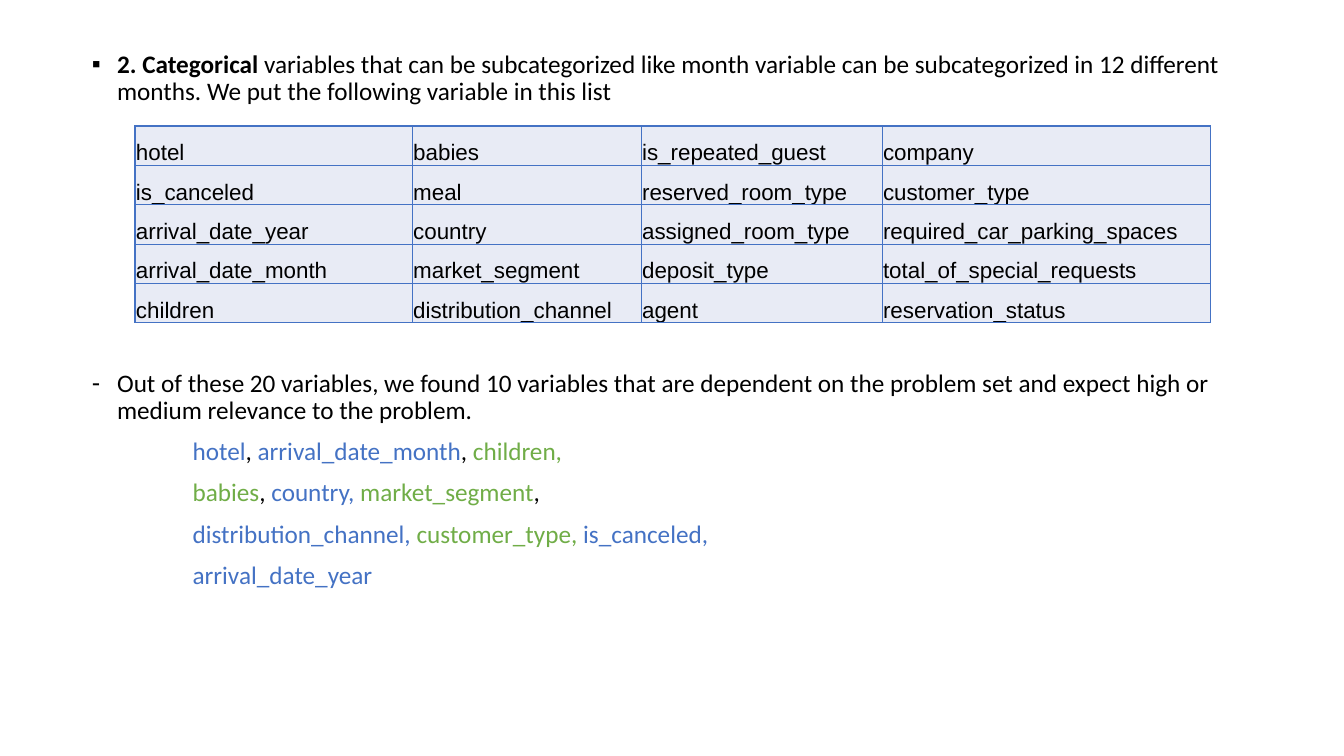
from dataclasses import dataclass

from lxml.etree import SubElement
from pptx import Presentation
from pptx.dml.color import RGBColor
from pptx.enum.text import MSO_ANCHOR, MSO_AUTO_SIZE
from pptx.oxml.ns import qn
from pptx.slide import Slide
from pptx.util import Emu, Inches, Pt

COLORS = {
    "text": "000000",
    "blue": "4472C4",
    "green": "70AD47",
    "cell": "E8EBF5",
}

presentation = Presentation()
presentation.slide_width = Inches(13.33)
presentation.slide_height = Inches(7.5)


def across(percent: float) -> Emu:
    return Emu(round(presentation.slide_width * percent / 100))


def down(percent: float) -> Emu:
    return Emu(round(presentation.slide_height * percent / 100))


@dataclass(frozen=True)
class Phrase:
    text: str
    color: str = "text"
    bold: bool = False


@dataclass(frozen=True)
class Statement:
    phrases: tuple[Phrase, ...]
    margin: Emu
    bullet: str = ""
    space_before: float = 10


BULLET_MARGIN = across(1.88)
LIST_MARGIN = across(7.5)
TABLE_GAP = 189  # points left free for the table between the two statements

STATEMENTS = (
    Statement((
        Phrase("2. Categorical", bold=True),
        Phrase(" variables that can be subcategorized like month variable can be "
               "subcategorized in 12 different months. We put the following "
               "variable in this list"),
    ), BULLET_MARGIN, "▪", 0),
    Statement((
        Phrase("Out of these 20 variables, we found 10 variables that are dependent "
               "on the problem set and expect high or medium relevance to the problem."),
    ), BULLET_MARGIN, "-", TABLE_GAP),
    Statement((
        Phrase("hotel", "blue"), Phrase(", "),
        Phrase("arrival_date_month", "blue"), Phrase(", "),
        Phrase("children,", "green"),
    ), LIST_MARGIN),
    Statement((
        Phrase("babies", "green"), Phrase(", "),
        Phrase("country,", "blue"),
        Phrase(" market_segment", "green"), Phrase(","),
    ), LIST_MARGIN),
    Statement((
        Phrase("distribution_channel, ", "blue"),
        Phrase("customer_type, ", "green"),
        Phrase("is_canceled,", "blue"),
    ), LIST_MARGIN),
    Statement((Phrase("arrival_date_year", "blue"),), LIST_MARGIN),
)

VARIABLES = (
    ("hotel", "babies", "is_repeated_guest", "company"),
    ("is_canceled", "meal", "reserved_room_type", "customer_type"),
    ("arrival_date_year", "country", "assigned_room_type", "required_car_parking_spaces"),
    ("arrival_date_month", "market_segment", "deposit_type", "total_of_special_requests"),
    ("children", "distribution_channel", "agent", "reservation_status"),
)
COLUMN_SHARES = (20.63, 17.03, 17.93, 24.46)
ROW_SHARE = 5.21


def add_phrase(paragraph, phrase: Phrase, font: str, size: float) -> None:
    run = paragraph.add_run()
    run.text = phrase.text
    run.font.name = font
    run.font.size = Pt(size)
    run.font.bold = phrase.bold
    run.font.color.rgb = RGBColor.from_string(COLORS[phrase.color])


def set_bullet(paragraph, statement: Statement) -> None:
    properties = paragraph._p.get_or_add_pPr()
    properties.set("marL", str(statement.margin))
    properties.set("indent", str(-statement.margin if statement.bullet else 0))
    if statement.bullet:
        tint = SubElement(properties, qn("a:buClr"))
        SubElement(tint, qn("a:srgbClr"), val=COLORS["text"])
        SubElement(properties, qn("a:buChar"), char=statement.bullet)
    else:
        SubElement(properties, qn("a:buNone"))


def add_statements(slide: Slide) -> None:
    body = slide.placeholders[1]
    body.left, body.top = across(6.08), down(6.13)
    body.width, body.height = across(86.27), down(82.27)
    frame = body.text_frame
    frame.word_wrap = True
    frame.auto_size = MSO_AUTO_SIZE.NONE
    frame.vertical_anchor = MSO_ANCHOR.TOP
    for index, statement in enumerate(STATEMENTS):
        paragraph = frame.add_paragraph() if index else frame.paragraphs[0]
        paragraph.line_spacing = 0.9
        paragraph.space_before = Pt(statement.space_before)
        set_bullet(paragraph, statement)
        for phrase in statement.phrases:
            add_phrase(paragraph, phrase, "Calibri", 18)


def set_borders(cell) -> None:
    properties = cell._tc.get_or_add_tcPr()
    for position, side in enumerate(("lnL", "lnR", "lnT", "lnB")):
        border = properties.makeelement(qn(f"a:{side}"), {"w": str(Pt(1))})
        paint = SubElement(border, qn("a:solidFill"))
        SubElement(paint, qn("a:srgbClr"), val=COLORS["blue"])
        properties.insert(position, border)


def add_variable_table(slide: Slide) -> None:
    table = slide.shapes.add_table(
        len(VARIABLES), len(COLUMN_SHARES), across(10.05), down(16.67),
        across(sum(COLUMN_SHARES)), down(ROW_SHARE * len(VARIABLES)),
    ).table
    table.first_row = False
    table.horz_banding = False
    for column, share in zip(table.columns, COLUMN_SHARES):
        column.width = across(share)
    for row, names in zip(table.rows, VARIABLES):
        row.height = down(ROW_SHARE)
        for cell, name in zip(row.cells, names):
            cell.margin_left = cell.margin_right = across(0.07)
            cell.margin_top, cell.margin_bottom = down(0.13), 0
            cell.vertical_anchor = MSO_ANCHOR.BOTTOM
            cell.fill.solid()
            cell.fill.fore_color.rgb = RGBColor.from_string(COLORS["cell"])
            set_borders(cell)
            add_phrase(cell.text_frame.paragraphs[0], Phrase(name), "Arial", 16)


def main() -> None:
    # Title and content layout; this slide has no title
    slide = presentation.slides.add_slide(presentation.slide_layouts[1])
    empty_title = slide.shapes.title.element
    empty_title.getparent().remove(empty_title)

    # Statements first, table in the gap between them
    add_statements(slide)
    add_variable_table(slide)
    presentation.save("out.pptx")


if __name__ == "__main__":
    main()
